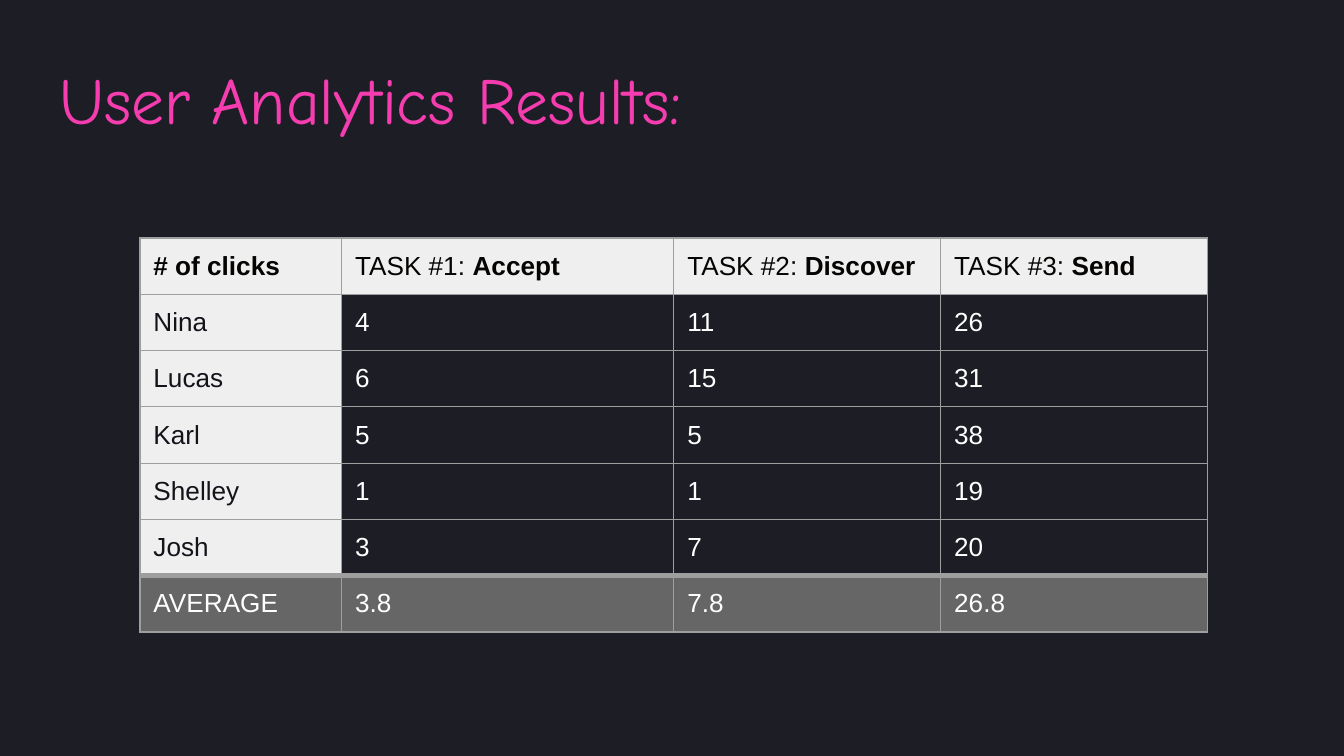
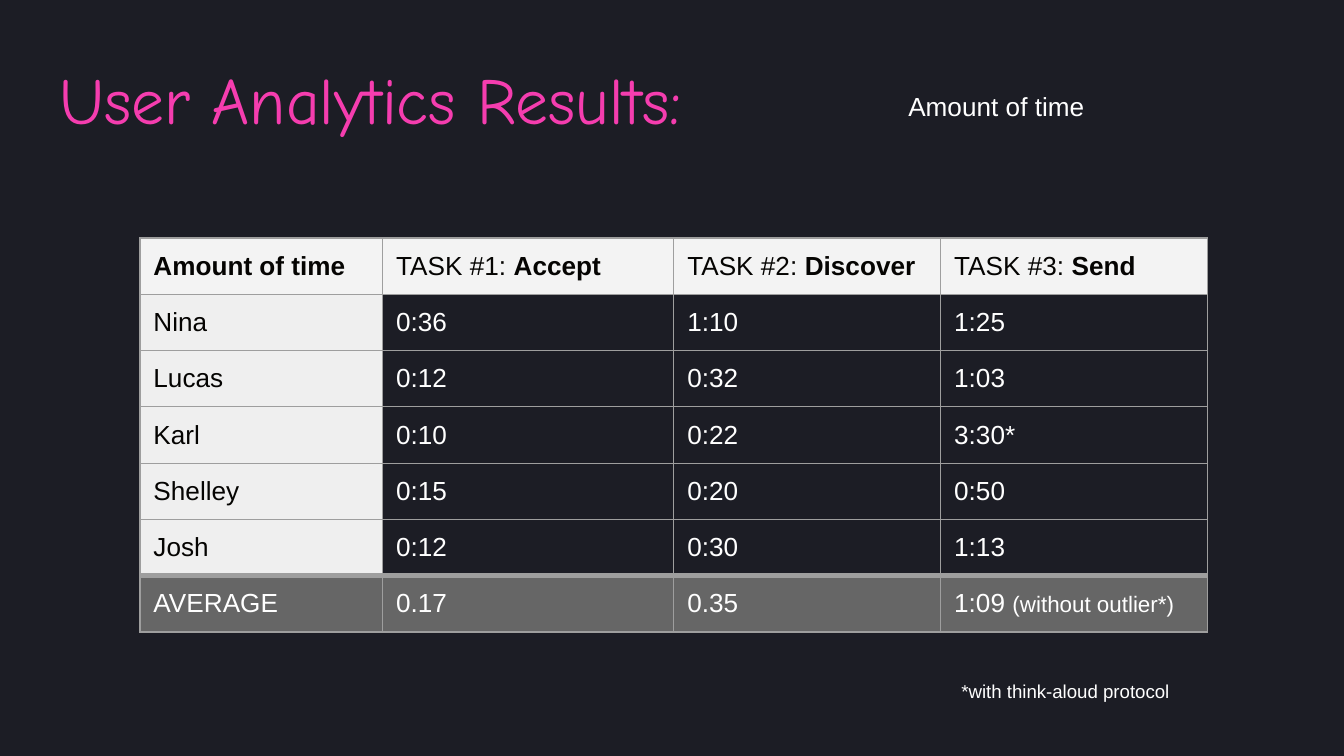
import dataclasses

import pptx
import pptx.dml.color
import pptx.enum.text
import pptx.oxml
import pptx.oxml.ns
import pptx.util

Pt = pptx.util.Pt


@dataclasses.dataclass(frozen=True)
class Theme:
    background: str = "1C1D25"
    title: str = "F53DAF"
    light_text: str = "FFFFFF"
    dark_text: str = "050402"
    name_text: str = "131419"
    label_fill: str = "EFEFEF"
    pale_header: str = "F3F3F3"
    average_fill: str = "666666"
    border: str = "9E9E9E"
    thin_line: float = 0.75
    thick_line: float = 3
    title_font: str = "Comic Neue"
    body_font: str = "Arial"
    title_size: float = 35.1
    body_size: float = 14
    remark_size: float = 12
    note_size: float = 10
    inset: float = 7.2


THEME = Theme()
TABLE_LEFT, TABLE_TOP, ROW_HEIGHT = 75, 127.5, 30
TASKS = ["Accept", "Discover", "Send"]


def color(value):
    return pptx.dml.color.RGBColor.from_string(value)


# Text: a string, or a list of (string, format changes) runs
def write_text(frame, text, **text_format):
    paragraph = frame.paragraphs[0]
    paragraph.alignment = pptx.enum.text.PP_ALIGN.LEFT
    runs = [(text, {})] if isinstance(text, str) else text
    for content, changes in runs:
        style = {"size": THEME.body_size, "font": THEME.body_font,
                 "color": THEME.light_text, "bold": False, **text_format, **changes}
        run = paragraph.add_run()
        run.text = content
        run.font.size = Pt(style["size"])
        run.font.name = style["font"]
        run.font.bold = style["bold"]
        run.font.color.rgb = color(style["color"])


def set_insets(box):
    for side in ("left", "top", "right", "bottom"):
        setattr(box, f"margin_{side}", Pt(THEME.inset))


def add_title_slide(presentation, title):
    slide = presentation.slides.add_slide(presentation.slide_layouts[5])
    shape = slide.shapes.title
    shape.left, shape.top, shape.width, shape.height = Pt(24.5), Pt(24.5), Pt(448.5), Pt(55.5)
    frame = shape.text_frame
    set_insets(frame)
    frame.auto_size = pptx.enum.text.MSO_AUTO_SIZE.NONE
    frame.vertical_anchor = pptx.enum.text.MSO_ANCHOR.TOP
    write_text(frame, title, font=THEME.title_font, size=THEME.title_size, color=THEME.title)
    return slide


def add_label(slide, text, left, top, height, size):
    frame = slide.shapes.add_textbox(Pt(left), Pt(top), Pt(236), Pt(height)).text_frame
    frame.word_wrap = True
    set_insets(frame)
    write_text(frame, text, size=size)


# Table cells
def set_borders(cell, top, bottom):
    properties = cell._tc.get_or_add_tcPr()
    widths = {"L": THEME.thin_line, "R": THEME.thin_line, "T": top, "B": bottom}
    for position, (side, width) in enumerate(widths.items()):
        line = pptx.oxml.parse_xml(
            f'<a:ln{side} {pptx.oxml.ns.nsdecls("a")} w="{Pt(width)}"><a:solidFill>'
            f'<a:srgbClr val="{THEME.border}"/></a:solidFill></a:ln{side}>')
        properties.insert(position, line)


def format_cell(cell, text, fill, top, bottom, **text_format):
    set_insets(cell)
    write_text(cell.text_frame, text, **text_format)
    if fill:
        cell.fill.solid()
        cell.fill.fore_color.rgb = color(fill)
    else:
        cell.fill.background()
    set_borders(cell, top, bottom)


def add_results_table(slide, measure, results, widths, header_fill, name_color):
    header = [[(measure, {"bold": True})]]
    header += [[(f"TASK #{number}: ", {}), (task, {"bold": True})]
               for number, task in enumerate(TASKS, 1)]
    rows = [header, *results]
    last = len(rows) - 1
    table = slide.shapes.add_table(
        len(rows), len(widths), Pt(TABLE_LEFT), Pt(TABLE_TOP),
        Pt(sum(widths)), Pt(ROW_HEIGHT * len(rows))).table
    table.first_row = table.horz_banding = False
    for column, width in zip(table.columns, widths):
        column.width = Pt(width)
    for row_index, row in enumerate(rows):
        table.rows[row_index].height = Pt(ROW_HEIGHT)
        # A thick rule sets the averages apart
        top = THEME.thick_line if row_index == last else THEME.thin_line
        bottom = THEME.thick_line if row_index == last - 1 else THEME.thin_line
        for column_index, text in enumerate(row):
            if row_index == 0:
                fill, text_color = header_fill, THEME.dark_text
            elif row_index == last:
                fill, text_color = THEME.average_fill, THEME.light_text
            elif column_index == 0:
                fill, text_color = THEME.label_fill, name_color
            else:
                fill, text_color = None, THEME.light_text
            format_cell(table.cell(row_index, column_index), text, fill, top, bottom,
                        color=text_color)


def main():
    presentation = pptx.Presentation()
    presentation.slide_width, presentation.slide_height = Pt(720), Pt(405)
    background = presentation.slide_master.background.fill
    background.solid()
    background.fore_color.rgb = color(THEME.background)
    title = "User Analytics Results:"

    # Clicks per task
    slide = add_title_slide(presentation, title)
    clicks = [
        ["Nina", "4", "11", "26"],
        ["Lucas", "6", "15", "31"],
        ["Karl", "5", "5", "38"],
        ["Shelley", "1", "1", "19"],
        ["Josh", "3", "7", "20"],
        ["AVERAGE", "3.8", "7.8", "26.8"],
    ]
    add_results_table(slide, "# of clicks", clicks, [108, 178, 143, 143],
                      THEME.label_fill, THEME.name_text)

    # Time per task
    slide = add_title_slide(presentation, title)
    average_send = [("1:09 ", {}), ("(without outlier*)", {"size": THEME.remark_size})]
    times = [
        ["Nina", "0:36", "1:10", "1:25"],
        ["Lucas", "0:12", "0:32", "1:03"],
        ["Karl", "0:10", "0:22", "3:30*"],
        ["Shelley", "0:15", "0:20", "0:50"],
        ["Josh", "0:12", "0:30", "1:13"],
        ["AVERAGE", "0.17", "0.35", average_send],
    ]
    add_results_table(slide, "Amount of time", times, [130, 156, 143, 143],
                      THEME.pale_header, THEME.dark_text)
    add_label(slide, "Amount of time", 479.5, 41, 31.5, THEME.body_size)
    add_label(slide, "*with think-aloud protocol", 508, 358, 26.5, THEME.note_size)

    presentation.save("out.pptx")


if __name__ == "__main__":
    main()
